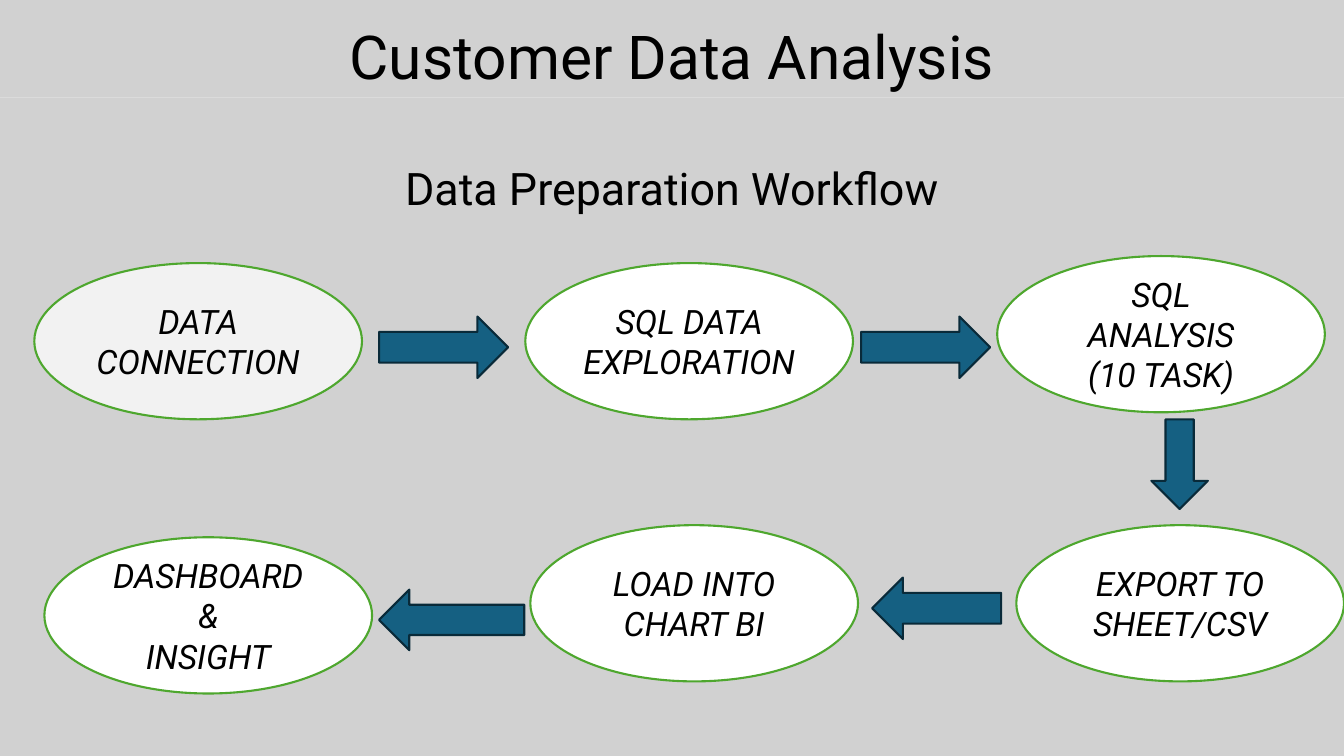
from pptx import Presentation
from pptx.dml.color import RGBColor
from pptx.enum.shapes import MSO_SHAPE
from pptx.enum.text import MSO_ANCHOR, PP_ALIGN
from pptx.util import Inches, Pt

OVAL = MSO_SHAPE.OVAL
RECTANGLE = MSO_SHAPE.RECTANGLE
RIGHT = MSO_SHAPE.RIGHT_ARROW
DOWN = MSO_SHAPE.DOWN_ARROW
LEFT = MSO_SHAPE.LEFT_ARROW
CENTER = PP_ALIGN.CENTER
TOP, MIDDLE, BOTTOM = MSO_ANCHOR.TOP, MSO_ANCHOR.MIDDLE, MSO_ANCHOR.BOTTOM

COLORS = {
    "panel": "D1D1D1",
    "start": "F2F2F2",
    "step": "FFFFFF",
    "outline": "4EA72E",
    "arrow": "156082",
    "arrow_edge": "092A39",
    "text": "000000",
}
FONT = "Roboto"
WIDTH, HEIGHT, HEADER = 13.33, 7.5, 0.97
COLUMN, ROW = 4.82, 2.6
STEP_ORIGIN, STEP_SIZE = (0.44, 2.61), (3.25, 1.55)
ARROW_ORIGIN, ARROW_SIZE = (3.76, 3.14), (1.28, 0.61)

STEPS = [
    (0, 0, -0.1, 0, "start", ["DATA CONNECTION"]),
    (1, 0, -0.05, 0, "step", ["SQL DATA EXPLORATION"]),
    (2, 0, -0.19, -0.07, "step", ["SQL ANALYSIS", "(10 TASK)"]),
    (2, 1, 0, 0, "step", ["EXPORT TO", "SHEET/CSV"]),
    (1, 1, 0, 0, "step", ["LOAD INTO", "CHART BI"]),
    (0, 1, 0, 0.12, "step", ["DASHBOARD &", "INSIGHT"]),
]
ARROWS = [
    (RIGHT, 0, 0, 0, 0, ARROW_SIZE),
    (RIGHT, 1, 0, -0.04, 0, ARROW_SIZE),
    (LEFT, 1, 1, 0.07, -0.01, ARROW_SIZE),
    (LEFT, 0, 1, 0, 0.11, (1.44, 0.6)),
]
DOWN_ARROW = (11.42, 4.16, 0.56, 0.89)


def color(name):
    return RGBColor.from_string(COLORS[name])


def on_grid(origin, column, row, shift_x, shift_y):
    return (origin[0] + column * COLUMN + shift_x,
            origin[1] + row * ROW + shift_y)


def fill_shape(shape, fill, edge=None):
    shape.fill.solid()
    shape.fill.fore_color.rgb = color(fill)
    if edge:
        shape.line.color.rgb = color(edge)
        shape.line.width = Pt(1.5)
    else:
        shape.line.fill.background()


def add_shape(page, kind, area, fill, edge=None):
    shape = page.shapes.add_shape(kind, *map(Inches, area))
    shape.shadow.inherit = False
    fill_shape(shape, fill, edge)
    return shape


def write(shape, lines, size, anchor, italic=False, spacing=1.0):
    frame = shape.text_frame
    frame.word_wrap = True
    frame.vertical_anchor = anchor
    for index, line in enumerate(lines):
        para = frame.add_paragraph() if index else frame.paragraphs[0]
        para.alignment = CENTER
        para.line_spacing = spacing
        span = para.add_run()
        span.text = line
        span.font.name = FONT
        span.font.size = Pt(size)
        span.font.italic = italic
        span.font.color.rgb = color("text")


def add_title(page, text):
    title = page.shapes.title
    title.left, title.top = Inches(0), Inches(0)
    title.width, title.height = Inches(WIDTH), Inches(HEADER)
    fill_shape(title, "panel")
    write(title, [text], 43.2, BOTTOM, spacing=0.9)


def add_body(page, text):
    area = (0, HEADER, WIDTH, HEIGHT - HEADER)
    body = add_shape(page, RECTANGLE, area, "panel")
    body.text_frame.margin_top = Inches(0.68)
    write(body, [text], 32, TOP, spacing=0.9)


def add_step(page, column, row, shift_x, shift_y, fill, lines):
    corner = on_grid(STEP_ORIGIN, column, row, shift_x, shift_y)
    step = add_shape(page, OVAL, corner + STEP_SIZE, fill, "outline")
    write(step, lines, 24, MIDDLE, italic=True)


def add_arrow(page, kind, area):
    add_shape(page, kind, area, "arrow", "arrow_edge")


def main():
    deck = Presentation()
    deck.slide_width, deck.slide_height = Inches(WIDTH), Inches(HEIGHT)
    page = deck.slides.add_slide(deck.slide_layouts[5])
    add_title(page, "Customer Data Analysis")
    add_body(page, "Data Preparation Workflow")
    for step in STEPS:
        add_step(page, *step)
    for kind, column, row, shift_x, shift_y, size in ARROWS:
        corner = on_grid(ARROW_ORIGIN, column, row, shift_x, shift_y)
        add_arrow(page, kind, corner + size)
    add_arrow(page, DOWN, DOWN_ARROW)
    deck.save("out.pptx")


if __name__ == "__main__":
    main()
